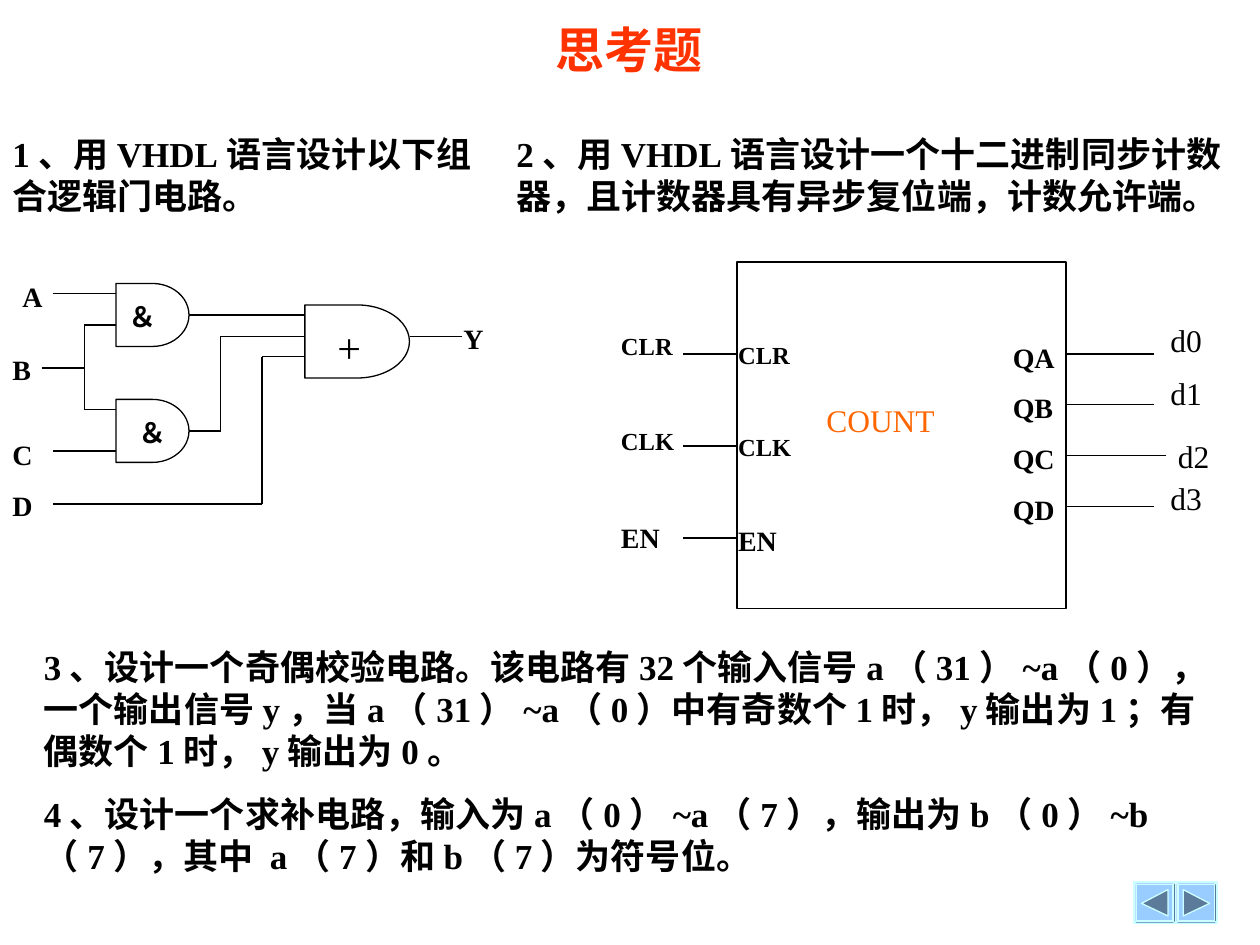
from itertools import pairwise
from lxml.etree import SubElement
from pptx import Presentation
from pptx.dml.color import RGBColor
from pptx.enum.shapes import MSO_CONNECTOR as Conn, MSO_SHAPE as Shape
from pptx.enum.text import MSO_ANCHOR as Anchor, PP_ALIGN as Align
from pptx.oxml.ns import qn
from pptx.util import Inches, Pt

BLACK = RGBColor(0x00, 0x00, 0x00)
WHITE = RGBColor(0xFF, 0xFF, 0xFF)
RED = RGBColor(0xFF, 0x33, 0x00)
ORANGE = RGBColor(0xFF, 0x66, 0x00)
SKY = RGBColor(0x99, 0xCC, 0xFF)
PALE = RGBColor(0xCC, 0xFF, 0xFF)
SLATE = RGBColor(0x5C, 0x7A, 0x99)


class Board:
    font = "Times New Roman"
    line_width = Pt(0.75)

    def __init__(self, slide):
        self.slide = slide

    def text(self, text, x, y, w, h=0.37, size=16, bold=True, color=BLACK,
             font=None, align=Align.LEFT, anchor=Anchor.TOP, gap=0):
        box = self.slide.shapes.add_textbox(Inches(x), Inches(y), Inches(w), Inches(h))
        tf = box.text_frame
        tf.word_wrap = True
        tf.vertical_anchor = anchor
        tf.text = text
        for i, p in enumerate(tf.paragraphs):
            p.alignment = align
            if i:
                p.space_before = Pt(gap)
            for r in p.runs:
                r.font.name = font or self.font
                r.font.size = Pt(size)
                r.font.bold = bold
                r.font.color.rgb = color

    def paint(self, sp, fill, line):
        sp.shadow.inherit = False
        sp.fill.solid()
        sp.fill.fore_color.rgb = fill
        sp.line.color.rgb = line
        sp.line.width = self.line_width

    def shape(self, kind, x, y, w, h, fill=WHITE, line=BLACK):
        sp = self.slide.shapes.add_shape(kind, Inches(x), Inches(y), Inches(w), Inches(h))
        self.paint(sp, fill, line)
        return sp

    def wire(self, *points):
        for (x1, y1), (x2, y2) in pairwise(points):
            line = self.slide.shapes.add_connector(
                Conn.STRAIGHT, Inches(x1), Inches(y1), Inches(x2), Inches(y2))
            line.line.color.rgb = BLACK
            line.line.width = self.line_width
            SubElement(line._element.spPr, qn("a:effectLst"))

    def button(self, x, y, base, tip):
        side = 0.33
        bevel = self.shape(Shape.BEVEL, x, y, side, side, SKY, PALE)
        bevel.adjustments[0] = 0.06
        points = [(x + tip, y + 0.17), (x + base, y + 0.06), (x + base, y + 0.27)]
        points = [(Inches(px), Inches(py)) for px, py in points]
        fb = self.slide.shapes.build_freeform(*points[0])
        fb.add_line_segments(points[1:], close=True)
        self.paint(fb.convert_to_shape(), SLATE, PALE)


def draw_gates(board):
    for y in (2.25, 3.17):
        board.shape(Shape.FLOWCHART_DELAY, 0.92, y, 0.58, 0.5)
    board.shape(Shape.FLOWCHART_DELAY, 2.42, 2.42, 0.83, 0.58)

    board.wire((0.42, 2.33), (0.92, 2.33))
    board.wire((0.42, 3.58), (0.92, 3.58))
    board.wire((0.92, 2.58), (0.67, 2.58), (0.67, 3.25), (0.92, 3.25))
    board.wire((0.33, 2.92), (0.67, 2.92))
    board.wire((1.5, 2.5), (2.42, 2.5))
    board.wire((1.5, 3.42), (1.75, 3.42), (1.75, 2.67), (2.42, 2.67))
    board.wire((2.42, 2.83), (2.08, 2.83), (2.08, 4), (0.42, 4))
    board.wire((3.25, 2.67), (3.67, 2.67))

    for name, x, y in (("A", 0.08, 2.17), ("B", 0, 2.75), ("C", 0, 3.42),
                       ("D", 0, 3.83), ("Y", 3.58, 2.5)):
        board.text(name, x, y, 0.42)
    board.text("＆", 0.92, 2.33, 0.5)
    board.text("＆", 1, 3.25, 0.5)
    board.text("+", 2.58, 2.5, 0.58, 0.5, size=24, bold=False)


def draw_counter(board):
    board.shape(Shape.RECTANGLE, 5.85, 2.08, 2.61, 2.75)
    board.text("COUNT", 6.46, 3.13, 1.57, 0.4, size=18, bold=False, color=ORANGE)

    inputs = (("CLR", 14, 2.58, 2.65), ("CLK", 14, 3.33, 3.38), ("EN", 16, 4.08, 4.11))
    for i, (name, size, outer_y, inner_y) in enumerate(inputs):
        y = 2.81 + 0.73 * i
        board.text(name, 4.83, outer_y, 0.75, size=size)
        board.text(name, 5.76, inner_y, 0.78, size=size)
        board.wire((5.42, y), (5.85, y))

    outputs = (("QA", "d0", 9.19, 2.5, 9.16), ("QB", "d1", 9.19, 2.92, 9.16),
               ("QC", "d2", 9.25, 3.42, 9.25), ("QD", "d3", 9.19, 3.75, 9.16))
    for i, (pin, signal, x, label_y, end) in enumerate(outputs):
        y = 2.81 + 0.403 * i
        board.text(pin, 7.94, y - 0.16, 0.7)
        board.text(signal, x, label_y, 0.6, 0.4, size=18, bold=False)
        board.wire((8.47, y), (end, y))


def main():
    prs = Presentation()
    prs.slide_width, prs.slide_height = Inches(10), Inches(7.5)
    board = Board(prs.slides.add_slide(prs.slide_layouts[6]))

    board.text("思考题", 3.33, 0.17, 3.33, 0.5, size=28, color=RED, font="Montserrat",
               align=Align.CENTER, anchor=Anchor.BOTTOM)
    board.text("1、用VHDL语言设计以下组合逻辑门电路。", 0, 1, 4.08, 0.77, size=20)
    board.text("2、用VHDL语言设计一个十二进制同步计数器，且计数器具有异步复位端，计数允许端。",
               4, 1, 6, 0.77, size=20)
    draw_gates(board)
    draw_counter(board)
    board.text("3、设计一个奇偶校验电路。该电路有32个输入信号a（31）~a（0），"
               "一个输出信号y，当a（31）~a（0）中有奇数个1时，y输出为1；"
               "有偶数个1时，y输出为0。\n"
               "4、设计一个求补电路，输入为a（0）~a（7），输出为b（0）~b（7），"
               "其中 a（7）和b（7）为符号位。",
               0.25, 5.07, 9.5, 1.94, size=20, gap=12.5)
    board.button(9, 7, base=0.27, tip=0.06)
    board.button(9.33, 7, base=0.06, tip=0.27)
    prs.save("out.pptx")


if __name__ == "__main__":
    main()
